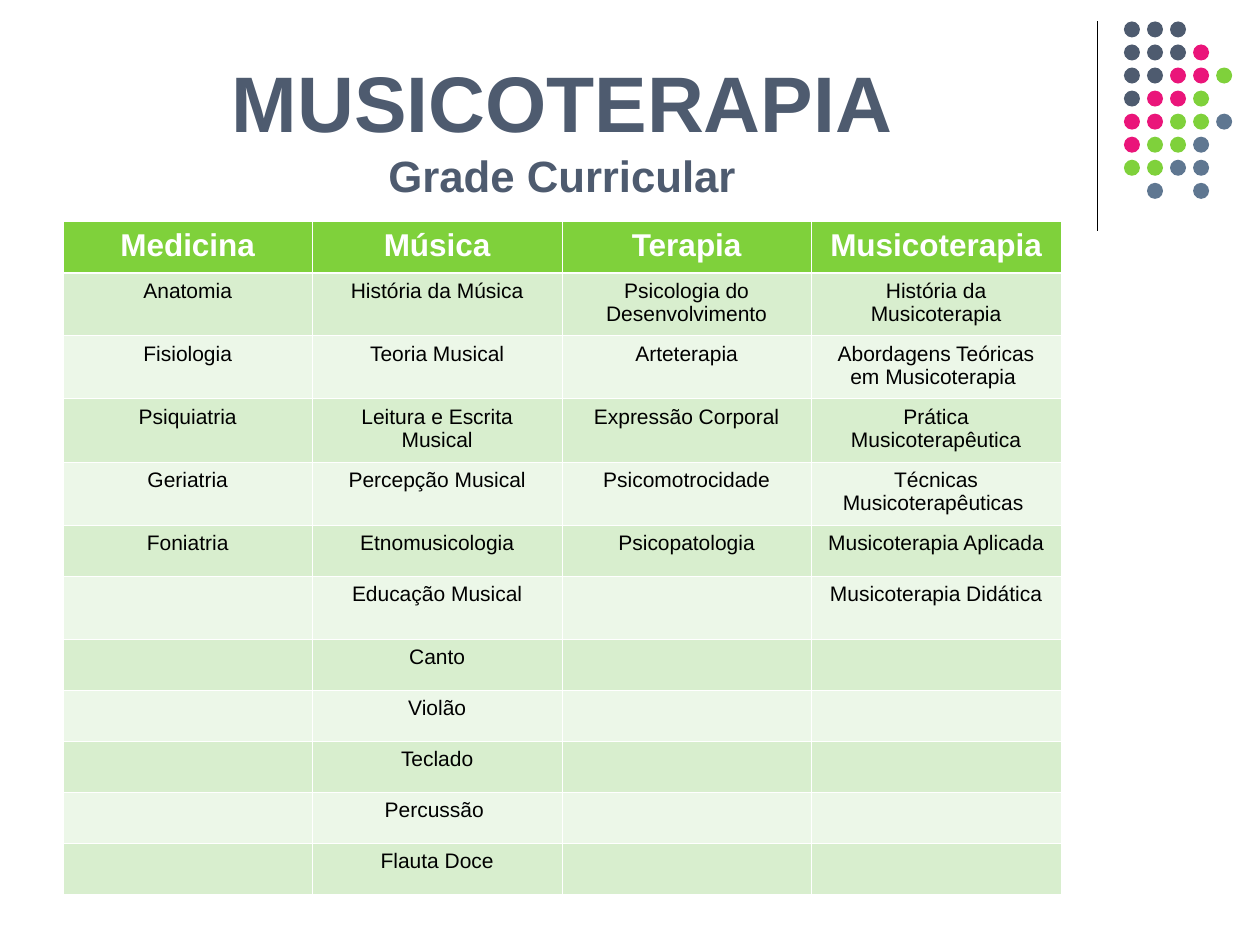
from dataclasses import dataclass
from typing import Any

from lxml.etree import SubElement
from pptx import Presentation
from pptx.dml.color import RGBColor
from pptx.enum.shapes import MSO_CONNECTOR as Connector, MSO_SHAPE as Shape
from pptx.enum.text import MSO_ANCHOR as Anchor, PP_ALIGN as Align
from pptx.oxml import parse_xml
from pptx.oxml.ns import nsdecls, qn
from pptx.util import Inches, Pt

SLATE, PINK, GREEN, STEEL = "4E5B6F", "EA157A", "7FD13B", "5F7791"
BAND_DARK, BAND_LIGHT = "D8EECE", "ECF7E8"
WHITE, BLACK = "FFFFFF", "000000"

SUBJECTS = {
    "Medicina": ["Anatomia", "Fisiologia", "Psiquiatria", "Geriatria", "Foniatria"],
    "Música": [
        "História da Música", "Teoria Musical", "Leitura e Escrita Musical",
        "Percepção Musical", "Etnomusicologia", "Educação Musical", "Canto",
        "Violão", "Teclado", "Percussão ", "Flauta Doce",
    ],
    "Terapia": [
        "Psicologia do Desenvolvimento", "Arteterapia", "Expressão Corporal",
        "Psicomotrocidade", "Psicopatologia",
    ],
    "Musicoterapia": [
        "História da Musicoterapia", "Abordagens Teóricas em Musicoterapia ",
        "Prática Musicoterapêutica", "Técnicas Musicoterapêuticas ",
        "Musicoterapia Aplicada", "Musicoterapia Didática",
    ],
}
ROW_HEIGHTS = [4.05, 5, 5, 5, 5, 4.05, 5, 4.05, 4.05, 4.05, 4.05, 4.05]

DOT_COLORS = {"S": SLATE, "P": PINK, "G": GREEN, "B": STEEL}
DOT_ROWS = ["SSS", "SSSP", "SSPPG", "SPPG", "PPGGB", "PGGB", "GGBB", ".B.B"]


def color(value):
    return RGBColor.from_string(value)


@dataclass
class Deck:
    """Style and current slide; lengths are cells of a 100 by 75 grid."""

    slide: Any
    cell: int
    font: str = "Arial"

    def box(self, *lengths):
        return [round(length * self.cell) for length in lengths]

    def add_text(self, paragraph, text, size, ink, bold=False):
        paragraph.alignment = Align.CENTER
        run = paragraph.add_run()
        run.text = text
        style = {"name": self.font, "size": Pt(size), "bold": bold}
        for key, value in style.items():
            setattr(run.font, key, value)
        run.font.color.rgb = color(ink)

    def rule(self, x, top, bottom):
        line = self.slide.shapes.add_connector(
            Connector.STRAIGHT, *self.box(x, top, x, bottom))
        line.line.color.rgb = color(BLACK)
        line.line.width = Pt(0.75)
        SubElement(line._element.spPr, qn("a:effectLst"))

    def dot(self, left, top, size, fill):
        dot = self.slide.shapes.add_shape(
            Shape.OVAL, *self.box(left, top, size, size))
        dot.shadow.inherit = False
        dot.fill.solid()
        dot.fill.fore_color.rgb = color(fill)
        dot.line.fill.background()

    def dots(self, left, top, pitch, size):
        for row, codes in enumerate(DOT_ROWS):
            for col, code in enumerate(codes):
                if code in DOT_COLORS:
                    self.dot(left + col * pitch, top + row * pitch, size,
                             DOT_COLORS[code])

    def heading(self, area, lines):
        """Lines are (text, size) pairs set in one paragraph."""
        frame = self.slide.shapes.add_textbox(*self.box(*area)).text_frame
        layout = {"word_wrap": True, "vertical_anchor": Anchor.MIDDLE,
                  "margin_top": Inches(0.12), "margin_bottom": Inches(0.05)}
        for key, value in layout.items():
            setattr(frame, key, value)
        paragraph = frame.paragraphs[0]
        for index, (text, size) in enumerate(lines):
            if index:
                paragraph.add_line_break()
            self.add_text(paragraph, text, size, SLATE, bold=True)

    def border(self, cell, row):
        """White edges, thicker between the header and the body."""
        heavy = {(0, "B"), (1, "T")}
        properties = cell._tc.get_or_add_tcPr()
        for index, side in enumerate("LRTB"):
            width = Pt(1.47 if (row, side) in heavy else 0.45)
            properties.insert(index, parse_xml(
                f'<a:ln{side} {nsdecls("a")} w="{width}"><a:solidFill>'
                f'<a:srgbClr val="{WHITE}"/></a:solidFill></a:ln{side}>'))

    def curriculum(self, left, top, width):
        table = self.slide.shapes.add_table(
            len(ROW_HEIGHTS), len(SUBJECTS),
            *self.box(left, top, width, sum(ROW_HEIGHTS))).table
        for row, height in zip(table.rows, ROW_HEIGHTS):
            row.height = self.box(height)[0]
        for col, (area, subjects) in enumerate(SUBJECTS.items()):
            texts = [area, *subjects]
            for row in range(len(ROW_HEIGHTS)):
                cell = table.cell(row, col)
                header = row == 0
                band = BAND_DARK if row % 2 else BAND_LIGHT
                cell.fill.solid()
                cell.fill.fore_color.rgb = color(GREEN if header else band)
                self.border(cell, row)
                if row < len(texts):
                    self.add_text(cell.text_frame.paragraphs[0], texts[row],
                                  18 if header else 12,
                                  WHITE if header else BLACK, header)


def main():
    presentation = Presentation()
    presentation.slide_width = Inches(10)
    presentation.slide_height = Inches(7.5)
    slide = presentation.slides.add_slide(presentation.slide_layouts[6])
    deck = Deck(slide, presentation.slide_width // 100)
    deck.rule(87.1, 1.7, 18.3)
    deck.dots(89.2, 1.7, 1.83, 1.27)
    deck.heading((5, 3.5, 79.2, 12.5),
                 [("MUSICOTERAPIA", 45), ("Grade Curricular", 25)])
    deck.curriculum(5, 17.6, 79.2)
    presentation.save("out.pptx")


if __name__ == "__main__":
    main()
